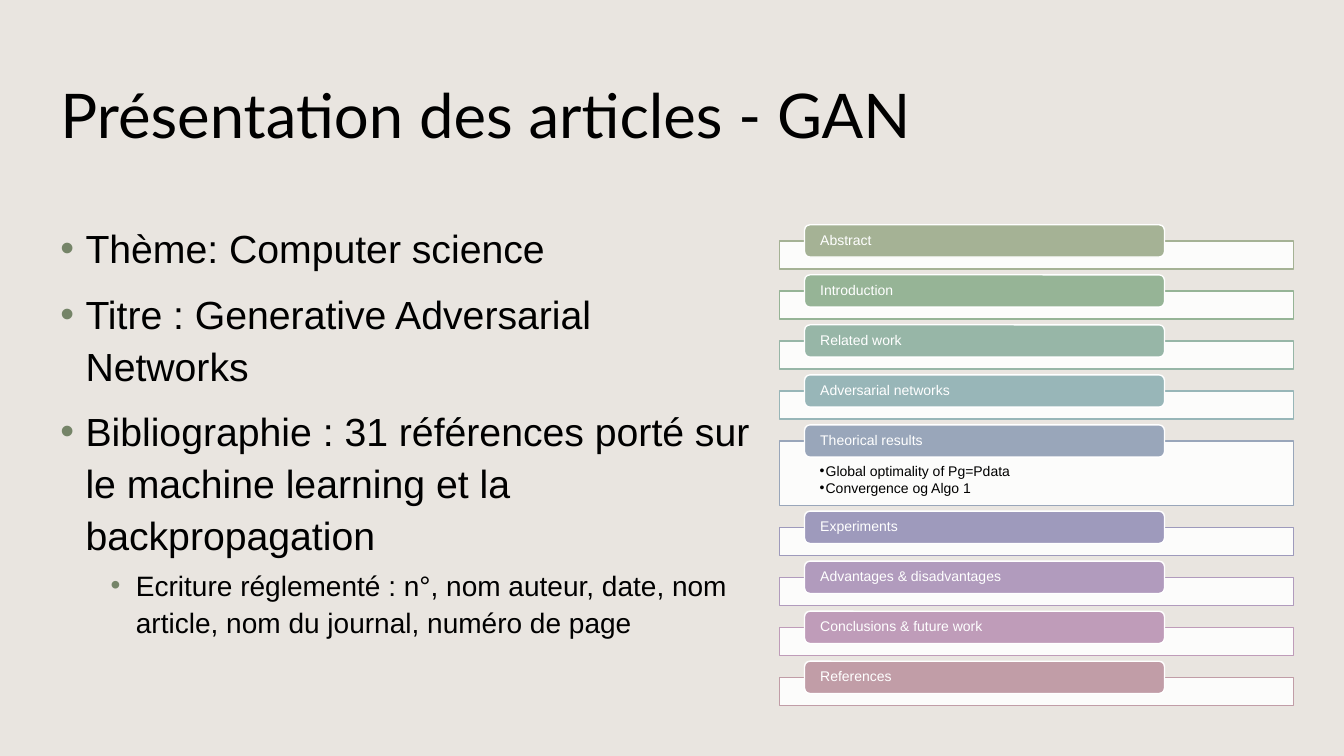
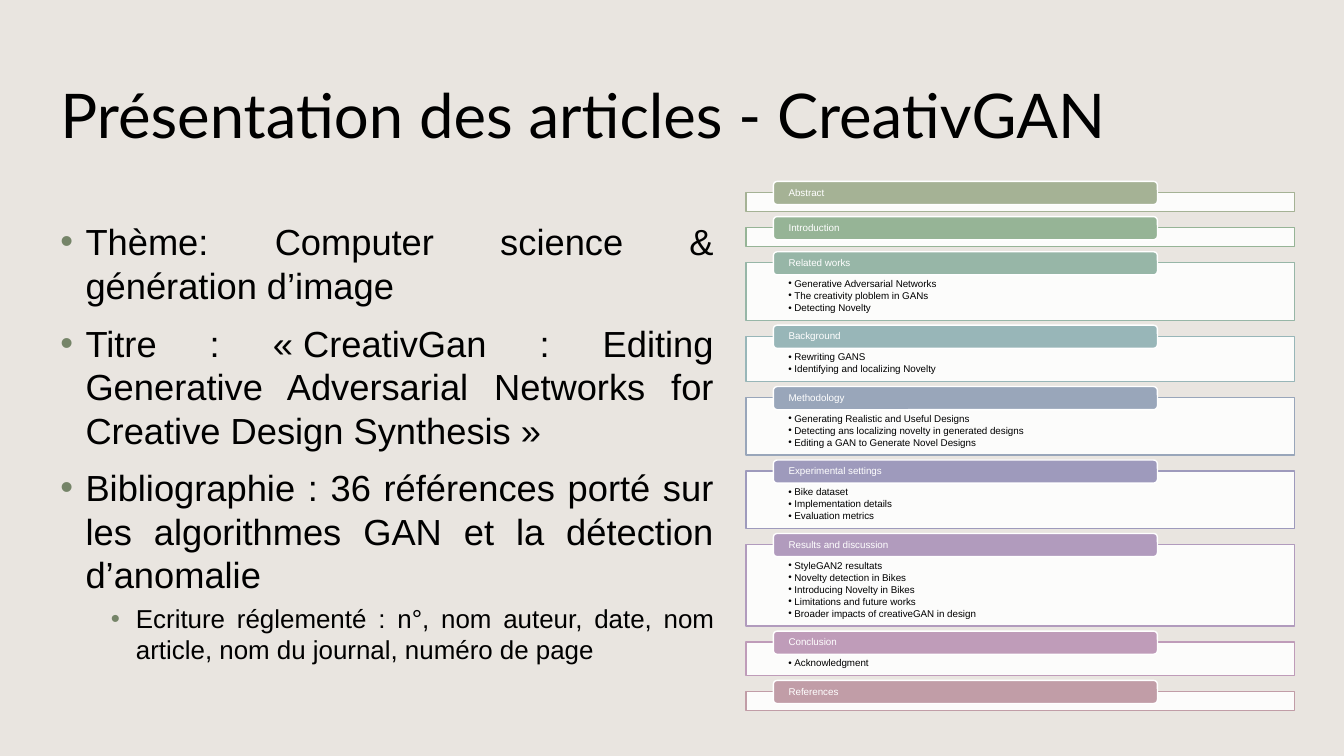
from dataclasses import dataclass

from lxml.etree import SubElement
from pptx import Presentation
from pptx.dml.color import RGBColor
from pptx.enum.shapes import MSO_SHAPE as Preset
from pptx.enum.text import MSO_ANCHOR as Anchor, PP_ALIGN as Align
from pptx.oxml.ns import qn
from pptx.util import Inches, Pt

BACKDROP, INK, WHITE, BULLET = "E0DAD4", "000000", "FFFFFF", "758468"
SECTION_COLORS = ("A5B295", "96B496", "97B6A7", "98B6B8", "99A6BA",
                  "9E9ABC", "B19BBD", "BF9CB9", "C19DA7")
TITLE_FONT, TEXT_FONT = "Lato", "Arial"
SLIDE_WIDTH, SLIDE_HEIGHT = 13.33, 7.5
NO_BREAK = chr(160)  # no-break space


@dataclass(frozen=True)
class Section:
    heading: str
    points: tuple[str, ...] = ()


@dataclass(frozen=True)
class OutlineStyle:
    """Measures of a section list, in inches; size in points."""
    left: float
    top: float
    width: float
    bottom: float
    empty_height: float
    first_point_height: float
    point_height: float
    tab_left: float
    tab_rise: float
    tab_width: float
    tab_height: float
    point_insets: tuple[float, float, float, float]
    size: float

    def panel_height(self, section: Section) -> float:
        if not section.points:
            return self.empty_height
        return self.first_point_height + (len(section.points) - 1) * self.point_height


@dataclass(frozen=True)
class Summary:
    width: float
    size: float
    detail_size: float
    line_spacing: float
    align: Align
    facts: tuple[str, ...]


@dataclass(frozen=True)
class Article:
    name: str
    summary: Summary
    outline: OutlineStyle
    sections: tuple[Section, ...]


CITATION_RULE = ("Ecriture réglementé : n°, nom auteur, date, nom article, "
                 "nom du journal, numéro de page")

ARTICLES = (
    Article(
        "GAN",
        Summary(7.23, 28, 20, 1.1, Align.LEFT, (
            "Thème: Computer science",
            f"Titre : Generative Adversarial Networks{NO_BREAK}",
            "Bibliographie : 31 références porté sur le machine learning "
            "et la backpropagation",
        )),
        OutlineStyle(7.73, 2.39, 5.1, 7, 0.28, 0.47, 0.17,
                     7.98, 0.16, 3.57, 0.32, (0.4, 0.23, 0.4, 0.08), 10),
        (
            Section("Abstract"),
            Section("Introduction"),
            Section("Related work"),
            Section("Adversarial networks"),
            Section("Theorical results", ("Global optimality of Pg=Pdata",
                                          "Convergence og Algo 1")),
            Section("Experiments"),
            Section("Advantages & disadvantages"),
            Section("Conclusions & future work"),
            Section("References"),
        ),
    ),
    Article(
        "CreativGAN",
        Summary(6.68, 25.9, 18.5, 1.0, Align.JUSTIFY, (
            "Thème: Computer science & génération d’image",
            f"Titre : «{NO_BREAK}CreativGan : Editing Generative Adversarial Networks "
            f"for Creative Design Synthesis{NO_BREAK}»",
            "Bibliographie : 36 références porté sur les algorithmes GAN "
            "et la détection d’anomalie",
        )),
        OutlineStyle(7.4, 1.91, 5.44, 7.05, 0.19, 0.33, 0.12,
                     7.67, 0.11, 3.81, 0.23, (0.42, 0.16, 0.42, 0.05), 7),
        (
            Section("Abstract"),
            Section("Introduction"),
            Section("Related works", ("Generative Adversarial Networks",
                                      "The creativity ploblem in GANs",
                                      "Detecting Novelty")),
            Section("Background", ("Rewriting GANS",
                                   "Identifying and localizing Novelty")),
            Section("Methodology", ("Generating Realistic and Useful Designs",
                                    "Detecting ans localizing novelty in generated designs",
                                    "Editing a GAN to Generate Novel Designs")),
            Section("Experimental settings", ("Bike dataset",
                                              "Implementation details",
                                              "Evaluation metrics")),
            Section("Results and discussion", ("StyleGAN2 resultats",
                                               "Novelty detection in Bikes",
                                               "Introducing Novelty in Bikes",
                                               "Limitations and future works",
                                               "Broader impacts of creativeGAN in design")),
            Section("Conclusion", ("Acknowledgment",)),
            Section("References"),
        ),
    ),
)


def rgb(color: str) -> RGBColor:
    return RGBColor.from_string(color)


def add_run(paragraph, text: str, size: float, color: str = INK,
            font: str = TEXT_FONT) -> None:
    run = paragraph.add_run()
    run.text = text
    run.font.name = font
    run.font.size = Pt(size)
    run.font.color.rgb = rgb(color)


def add_bullet(paragraph, margin: float, hanging: float, color: str) -> None:
    """Call after the paragraph spacing is set, as the bullet comes last in the XML."""
    properties = paragraph._p.get_or_add_pPr()
    properties.set("marL", str(Inches(margin)))
    properties.set("indent", str(-Inches(hanging)))
    bullet_color = SubElement(properties, qn("a:buClr"))
    SubElement(bullet_color, qn("a:srgbClr"), val=color)
    SubElement(properties, qn("a:buFont"), typeface=TEXT_FONT)
    SubElement(properties, qn("a:buChar"), char="•")


def paragraphs(frame, count: int) -> list:
    return [frame.paragraphs[0], *(frame.add_paragraph() for _ in range(count - 1))]


def set_insets(frame, left: float, top: float, right: float, bottom: float) -> None:
    frame.margin_left, frame.margin_top = Inches(left), Inches(top)
    frame.margin_right, frame.margin_bottom = Inches(right), Inches(bottom)


def add_box(slide, preset: Preset, left: float, top: float, width: float, height: float,
            fill: str, line: str | None = None, opacity: int = 100):
    box = slide.shapes.add_shape(preset, Inches(left), Inches(top),
                                 Inches(width), Inches(height))
    box.shadow.inherit = False
    box.fill.solid()
    box.fill.fore_color.rgb = rgb(fill)
    if opacity < 100:
        fill_color = box.fill._xPr.find(qn("a:solidFill")).find(qn("a:srgbClr"))
        SubElement(fill_color, qn("a:alpha"), val=str(opacity * 1000))
    if line is None:
        box.line.fill.background()
    else:
        box.line.color.rgb = rgb(line)
        box.line.width = Pt(1)
    box.text_frame.word_wrap = True
    return box


def move_backdrop_to_master(slide, master) -> None:
    """Draw the tinted backdrop on a slide, then place it behind all else on the master."""
    backdrop = add_box(slide, Preset.RECTANGLE, 0, 0, SLIDE_WIDTH, SLIDE_HEIGHT,
                       BACKDROP, opacity=70)
    element = backdrop._element
    element.nvSpPr.cNvPr.set("id", "100")
    master.shapes._spTree.insert(2, element)


def format_title(slide, text: str) -> None:
    title = slide.shapes.title
    title.left, title.top = Inches(0.5), Inches(0.4)
    title.width, title.height = Inches(11.92), Inches(1.45)
    title.text_frame.vertical_anchor = Anchor.MIDDLE
    heading = title.text_frame.paragraphs[0]
    heading.alignment = Align.LEFT
    add_run(heading, text, 44, font=TITLE_FONT)


def add_summary(slide, summary: Summary) -> None:
    frame = slide.shapes.add_textbox(Inches(0.5), Inches(2.13),
                                     Inches(summary.width), Inches(4.59)).text_frame
    frame.word_wrap = True
    lines = [(fact, summary.size, 10, 0.25) for fact in summary.facts]
    lines.append((CITATION_RULE, summary.detail_size, 5, 0.75))
    for paragraph, (text, size, before, margin) in zip(paragraphs(frame, len(lines)), lines):
        paragraph.alignment = summary.align
        paragraph.line_spacing = summary.line_spacing
        paragraph.space_before = Pt(before)
        add_bullet(paragraph, margin, 0.25, BULLET)
        add_run(paragraph, text, size)


def add_panel(slide, section: Section, style: OutlineStyle, top: float, color: str) -> None:
    panel = add_box(slide, Preset.RECTANGLE, style.left, top, style.width,
                    style.panel_height(section), WHITE, color, opacity=90)
    if not section.points:
        return
    frame = panel.text_frame
    frame.vertical_anchor = Anchor.TOP
    set_insets(frame, *style.point_insets)
    for paragraph, point in zip(paragraphs(frame, len(section.points)), section.points):
        paragraph.alignment = Align.LEFT
        paragraph.line_spacing = 0.9
        paragraph.space_after = Pt(style.size * 0.15)
        add_bullet(paragraph, 0.06, 0.06, INK)
        add_run(paragraph, point, style.size)


def add_tab(slide, heading: str, style: OutlineStyle, top: float, color: str) -> None:
    tab = add_box(slide, Preset.ROUNDED_RECTANGLE, style.tab_left, top - style.tab_rise,
                  style.tab_width, style.tab_height, color, WHITE)
    tab.text_frame.vertical_anchor = Anchor.MIDDLE
    set_insets(tab.text_frame, 0.14, 0, 0.14, 0)
    label = tab.text_frame.paragraphs[0]
    label.alignment = Align.LEFT
    label.line_spacing = 0.9
    add_run(label, heading, style.size, WHITE)


def add_outline(slide, sections: tuple[Section, ...], style: OutlineStyle) -> None:
    """Stack the sections with equal gaps between the style's top and bottom."""
    filled = sum(style.panel_height(section) for section in sections)
    gap = (style.bottom - style.top - filled) / (len(sections) - 1)
    top = style.top
    for section, color in zip(sections, SECTION_COLORS):
        add_panel(slide, section, style, top, color)
        add_tab(slide, section.heading, style, top, color)
        top += style.panel_height(section) + gap


def main() -> None:
    deck = Presentation()
    deck.slide_width, deck.slide_height = Inches(SLIDE_WIDTH), Inches(SLIDE_HEIGHT)
    title_only = deck.slide_layouts.get_by_name("Title Only")
    for article in ARTICLES:
        slide = deck.slides.add_slide(title_only)
        format_title(slide, f"Présentation des articles - {article.name}")
        add_summary(slide, article.summary)
        add_outline(slide, article.sections, article.outline)
    move_backdrop_to_master(deck.slides[0], deck.slide_master)
    deck.save("out.pptx")


if __name__ == "__main__":
    main()
